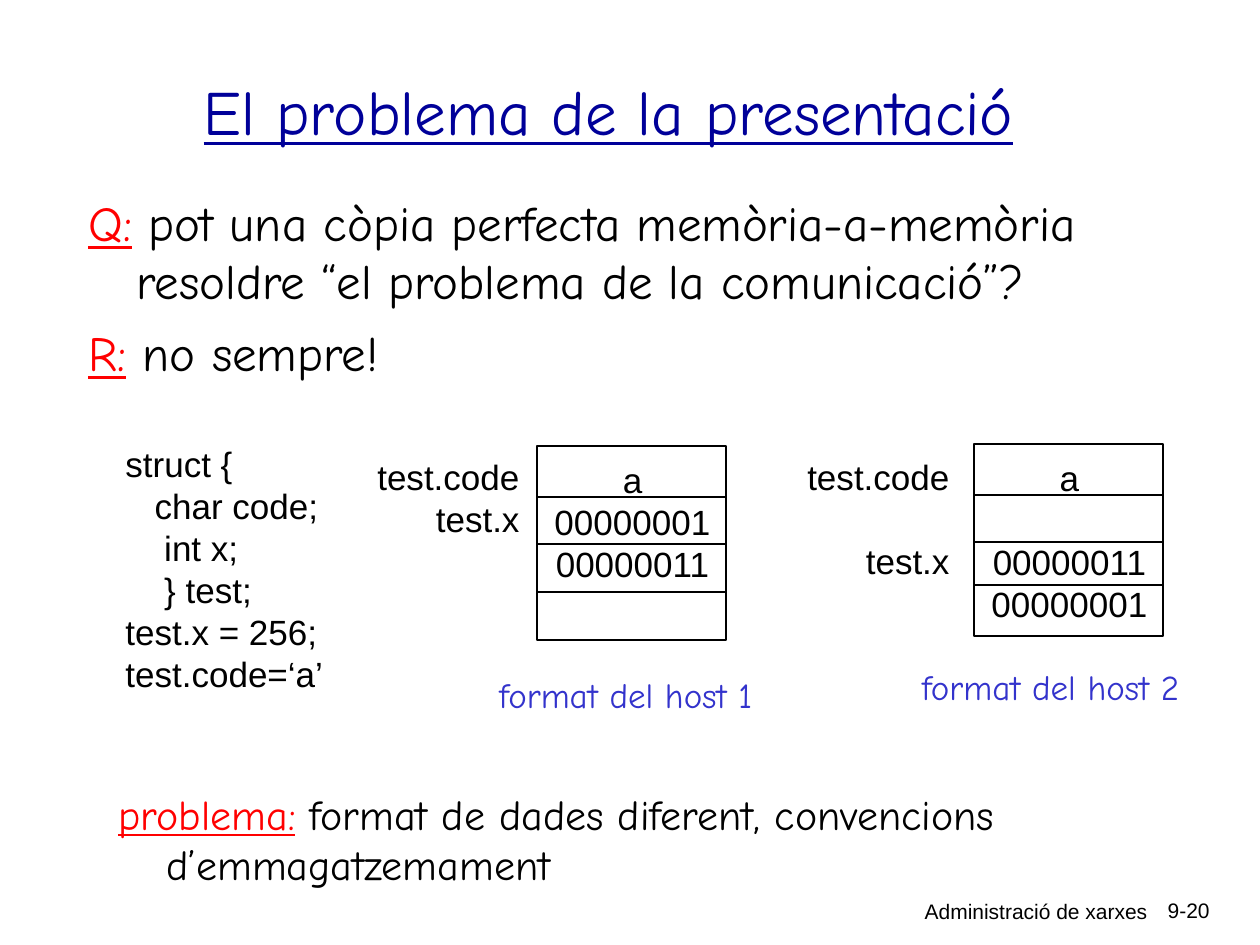
import pptx
import pptx.util
import pptx.dml.color
import pptx.enum.shapes
import pptx.enum.text
import pptx.oxml.ns
import lxml.etree

SCALE = 914400 // 126
COLORS = {"ink": "000000", "paper": "FFFFFF", "title": "000099", "key": "FF0000", "caption": "3333CC"}
ALIGN = pptx.enum.text.PP_ALIGN
SANS = "Arial"
HAND = "Comic Neue"
ROW = 24


def px(value):
    return pptx.util.Emu(value * SCALE)


def color(name):
    return pptx.dml.color.RGBColor.from_string(COLORS[name])


def add_text(page, box, lines, size, face=SANS, ink="ink", align=ALIGN.LEFT,
             wrap=False, gap=0, hang=0, underline=False):
    frame = page.shapes.add_textbox(*map(px, box)).text_frame
    frame.word_wrap = wrap
    for index, line in enumerate(lines):
        para = frame.paragraphs[0] if index == 0 else frame.add_paragraph()
        text, before = line if isinstance(line, tuple) else (line, gap)
        para.alignment = align
        para.space_before = pptx.util.Pt(before if index else 0)
        if hang:
            properties = para._p.get_or_add_pPr()
            properties.set("marL", str(px(hang)))
            properties.set("indent", str(-px(hang)))
        para.font.name = face
        para.font.size = pptx.util.Pt(size)
        key, colon, rest = text.partition(":") if hang else ("", "", text)
        if colon:
            for part, tone in ((key + colon, "key"), (rest, ink)):
                span = para.add_run()
                span.text = part
                span.font.color.rgb = color(tone)
                span.font.underline = tone == "key"
        else:
            para.add_run().text = text
            para.font.color.rgb = color(ink)
            para.font.underline = underline
    return frame


def add_title(page, box):
    frame = add_text(page, box, ["El problema de la presentació"], 36, HAND, "title",
                     ALIGN.CENTER, wrap=True, underline=True)
    frame.vertical_anchor = pptx.enum.text.MSO_ANCHOR.MIDDLE


def add_question(page, box):
    add_text(page, box, [
        "Q: pot una còpia perfecta memòria-a-memòria resoldre “el problema de la comunicació”?",
        "R: no sempre!",
    ], 28, HAND, wrap=True, gap=7, hang=48)


def add_conclusion(page, box):
    add_text(page, box, ["problema: format de dades diferent, convencions d’emmagatzemament"],
             24, HAND, wrap=True, hang=48)


def add_code(page, box):
    add_text(page, box, [
        "struct {",
        "   char code;",
        "    int x;",
        "    } test;",
        "test.x = 256;",
        "test.code=‘a’",
    ], 20)


def add_host(page, box, dividers, values, labels, label_offset, caption, caption_box):
    left, top, width, height = box
    memory = page.shapes.add_shape(pptx.enum.shapes.MSO_SHAPE.RECTANGLE, *map(px, box))
    memory.shadow.inherit = False
    memory.fill.solid()
    memory.fill.fore_color.rgb = color("paper")
    memory.line.color.rgb = color("ink")
    memory.line.width = pptx.util.Pt(1.5)

    add_text(page, (left + 5, top + 6, 181, 139), values, 20, align=ALIGN.CENTER)
    for offset in dividers:
        divider = page.shapes.add_connector(
            pptx.enum.shapes.MSO_CONNECTOR.STRAIGHT,
            px(left), px(top + offset), px(left + width + 1), px(top + offset))
        divider.line.color.rgb = color("ink")
        divider.line.width = pptx.util.Pt(1.5)
        lxml.etree.SubElement(divider._element.spPr, pptx.oxml.ns.qn("a:effectLst"))

    shift_x, shift_y = label_offset
    add_text(page, (left + shift_x, top + shift_y, 168, 97), labels, 20, align=ALIGN.RIGHT)
    caption_x, caption_y, caption_width = caption_box
    add_text(page, (left + caption_x, top + caption_y, caption_width, 55), [caption],
             20, HAND, "caption", ALIGN.RIGHT)


def add_footer(page, box):
    left, top, width, height = box
    add_text(page, (left, top + 1, 399, height), ["Administració de xarxes"], 12,
             align=ALIGN.RIGHT, wrap=True)
    add_text(page, (left + width - 82, top, 82, height), ["9-20"], 12,
             align=ALIGN.RIGHT, wrap=True)


def main():
    deck = pptx.Presentation()
    deck.slide_width = pptx.util.Inches(10)
    deck.slide_height = pptx.util.Inches(7.5)
    page = deck.slides.add_slide(deck.slide_layouts[6])
    add_footer(page, (761, 891, 461, 41))
    add_title(page, (73, 32, 1071, 157))
    add_question(page, (76, 186, 1095, 212))
    add_conclusion(page, (106, 782, 1071, 78))
    add_code(page, (113, 436, 223, 265))
    add_host(page, (537, 446, 189, 194), (51, 98, 146), ["a", "00000001", "00000011"],
             ["test.code", "test.x"], (-173, 3), "format del host 1", (-52, 221, 280))
    add_host(page, (974, 444, 189, 192), (51, 98, 141), ["a", ("00000011", ROW), "00000001"],
             ["test.code", ("test.x", ROW)], (-180, 5), "format del host 2", (-66, 215, 284))
    deck.save("out.pptx")


if __name__ == "__main__":
    main()
